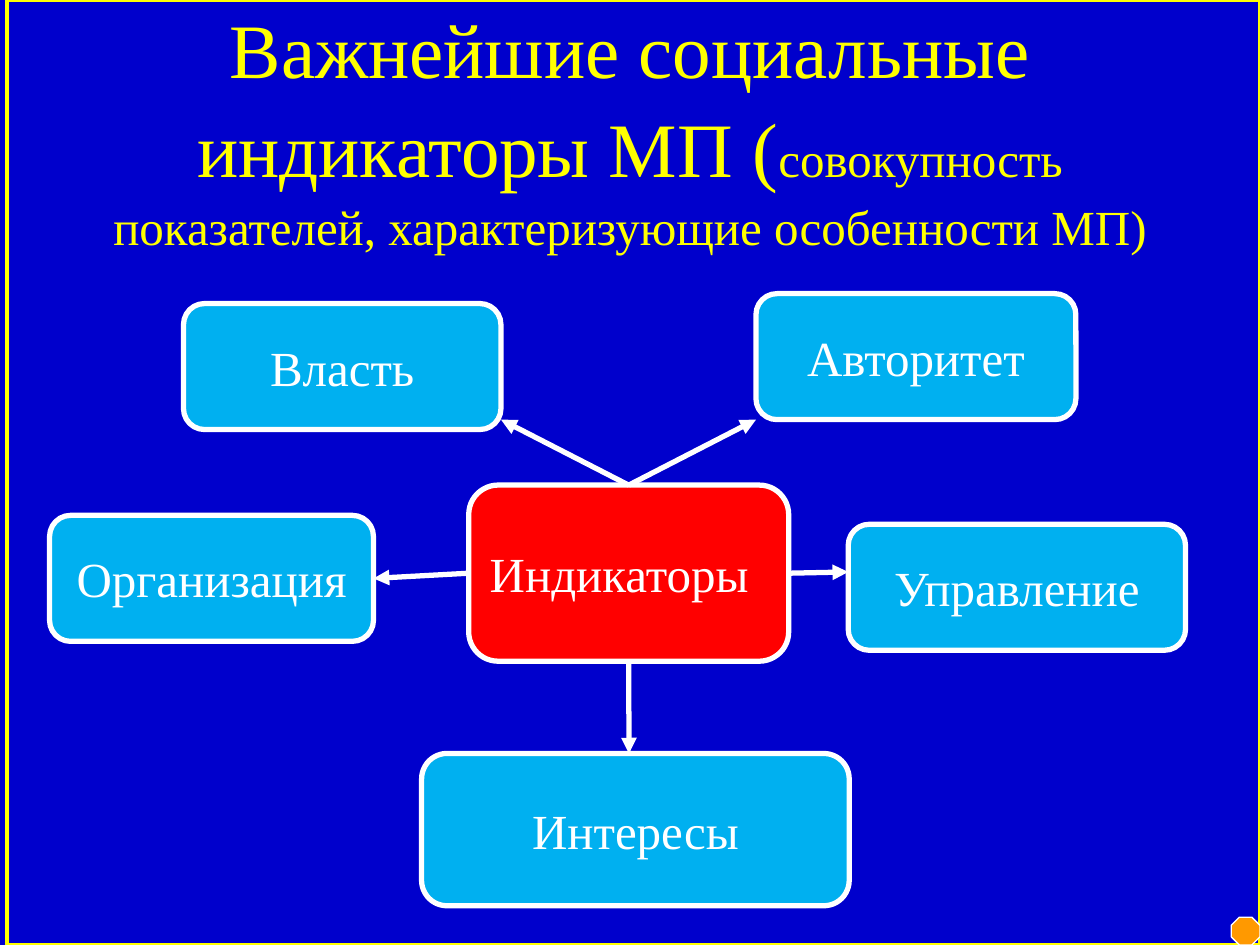
from dataclasses import dataclass

from lxml import etree
from pptx import Presentation
from pptx.dml.color import RGBColor
from pptx.enum.shapes import MSO_CONNECTOR, MSO_SHAPE
from pptx.enum.text import MSO_ANCHOR, MSO_AUTO_SIZE, PP_ALIGN
from pptx.oxml.ns import qn
from pptx.util import Cm, Pt

RECTANGLE = MSO_SHAPE.RECTANGLE
ROUNDED = MSO_SHAPE.ROUNDED_RECTANGLE
OCTAGON = MSO_SHAPE.OCTAGON
STRAIGHT = MSO_CONNECTOR.STRAIGHT
MIDDLE = MSO_ANCHOR.MIDDLE
LEFT, CENTER = PP_ALIGN.LEFT, PP_ALIGN.CENTER
TOP_SIDE, LEFT_SIDE, BOTTOM_SIDE, RIGHT_SIDE = range(4)


@dataclass(frozen=True)
class Theme:
    font: str = "Times New Roman"
    background: RGBColor = RGBColor(0x00, 0x00, 0xCC)
    accent: RGBColor = RGBColor(0xFF, 0xFF, 0x00)
    white: RGBColor = RGBColor(0xFF, 0xFF, 0xFF)
    center: RGBColor = RGBColor(0xFF, 0x00, 0x00)
    node: RGBColor = RGBColor(0x00, 0xB0, 0xF0)
    marker: RGBColor = RGBColor(0xFF, 0x99, 0x00)
    title_size: Pt = Pt(44)
    text_size: Pt = Pt(28)
    frame_line: Pt = Pt(2.25)
    node_line: Pt = Pt(3)
    marker_line: Pt = Pt(0.75)


THEME = Theme()
SLIDE_WIDTH, SLIDE_HEIGHT = 25.4, 19.05
TITLE_PARTS = (
    ("Важнейшие социальные индикаторы МП (", THEME.title_size),
    ("совокупность", THEME.text_size),
    ("показателей, характеризующие особенности МП)", THEME.text_size),
)
CENTER_BOX = (8.45, 3.86, 6.45, 3.55)
INDICATORS = (
    ("Авторитет", (14.24, 0, 6.45, 2.54), TOP_SIDE, (14.24, 2.54)),
    ("Управление", (16.1, 4.65, 6.8, 2.54), RIGHT_SIDE, (16.1, 5.61)),
    ("Власть", (2.7, 0.2, 6.4, 2.54), TOP_SIDE, (9.1, 2.54)),
    ("Организация", (0, 4.47, 6.53, 2.54), LEFT_SIDE, None),
    ("Интересы", (7.5, 9.27, 8.62, 3.07), BOTTOM_SIDE, (11.68, 9.27)),
)


def style_font(font, size, color):
    font.name = THEME.font
    font.size = size
    font.color.rgb = color


def add_outlined(slide, kind, box, fill, line, width):
    shape = slide.shapes.add_shape(kind, *map(Cm, box))
    shape.shadow.inherit = False
    if fill is None:
        shape.fill.background()
    else:
        shape.fill.solid()
        shape.fill.fore_color.rgb = fill
    shape.line.color.rgb = line
    shape.line.width = width
    return shape


def add_decoration(slide, box):
    left, top, width, height = box
    slide.background.fill.solid()
    slide.background.fill.fore_color.rgb = THEME.background
    add_outlined(slide, RECTANGLE, box, None, THEME.accent, THEME.frame_line)
    marker_box = (left + width - 0.58, top + height - 0.56, 0.58, 0.56)
    add_outlined(slide, OCTAGON, marker_box, THEME.marker, THEME.white, THEME.marker_line)


def add_title(slide, box):
    title = slide.shapes.title
    title.left, title.top, title.width, title.height = map(Cm, box)
    frame = title.text_frame
    frame.word_wrap = True
    frame.auto_size = MSO_AUTO_SIZE.NONE
    frame.vertical_anchor = MIDDLE
    paragraph = frame.paragraphs[0]
    paragraph.alignment = CENTER
    paragraph.line_spacing = 1.07
    opening, ending, explanation = (text for text, _ in TITLE_PARTS)
    paragraph.text = opening
    paragraph.add_run().text = ending
    paragraph.add_line_break()
    paragraph.add_run().text = explanation
    for run, (_, size) in zip(paragraph.runs, TITLE_PARTS):
        style_font(run.font, size, THEME.accent)


def add_node(slide, text, box, fill, alignment=CENTER):
    shape = add_outlined(slide, ROUNDED, box, fill, THEME.white, THEME.node_line)
    frame = shape.text_frame
    frame.word_wrap = True
    frame.vertical_anchor = MIDDLE
    frame.text = text
    paragraph = frame.paragraphs[0]
    paragraph.alignment = alignment
    style_font(paragraph.runs[0].font, THEME.text_size, THEME.white)
    return shape


def add_arrow(slide, source, side, target, tip):
    end = (0, 0) if tip is None else map(Cm, tip)
    connector = slide.shapes.add_connector(STRAIGHT, 0, 0, *end)
    connector.begin_connect(source, side)
    if tip is None:
        connector.end_connect(target, RIGHT_SIDE)
    connector.line.color.rgb = THEME.white
    connector.line.width = THEME.node_line
    etree.SubElement(connector.line._get_or_add_ln(), qn("a:tailEnd"), type="triangle")
    etree.SubElement(connector._element.spPr, qn("a:effectLst"))


def add_diagram(slide, box):
    left, top = box[:2]

    def place(x, y, *size):
        return (left + x, top + y, *size)

    center = add_node(slide, "Индикаторы", place(*CENTER_BOX), THEME.center, LEFT)
    nodes = [
        add_node(slide, text, place(*node_box), THEME.node)
        for text, node_box, _, _ in INDICATORS
    ]
    for node, (_, _, side, tip) in zip(nodes, INDICATORS):
        add_arrow(slide, center, side, node, tip and place(*tip))


def main():
    presentation = Presentation()
    presentation.slide_width = Cm(SLIDE_WIDTH)
    presentation.slide_height = Cm(SLIDE_HEIGHT)
    slide = presentation.slides.add_slide(presentation.slide_layouts[5])
    add_decoration(slide, (0.15, 0, SLIDE_WIDTH - 0.15, SLIDE_HEIGHT))
    add_title(slide, (1.9, 0.18, 21.6, 4.7))
    add_diagram(slide, (1, 5.92, 22.9, 12.34))
    presentation.save("out.pptx")


if __name__ == "__main__":
    main()
